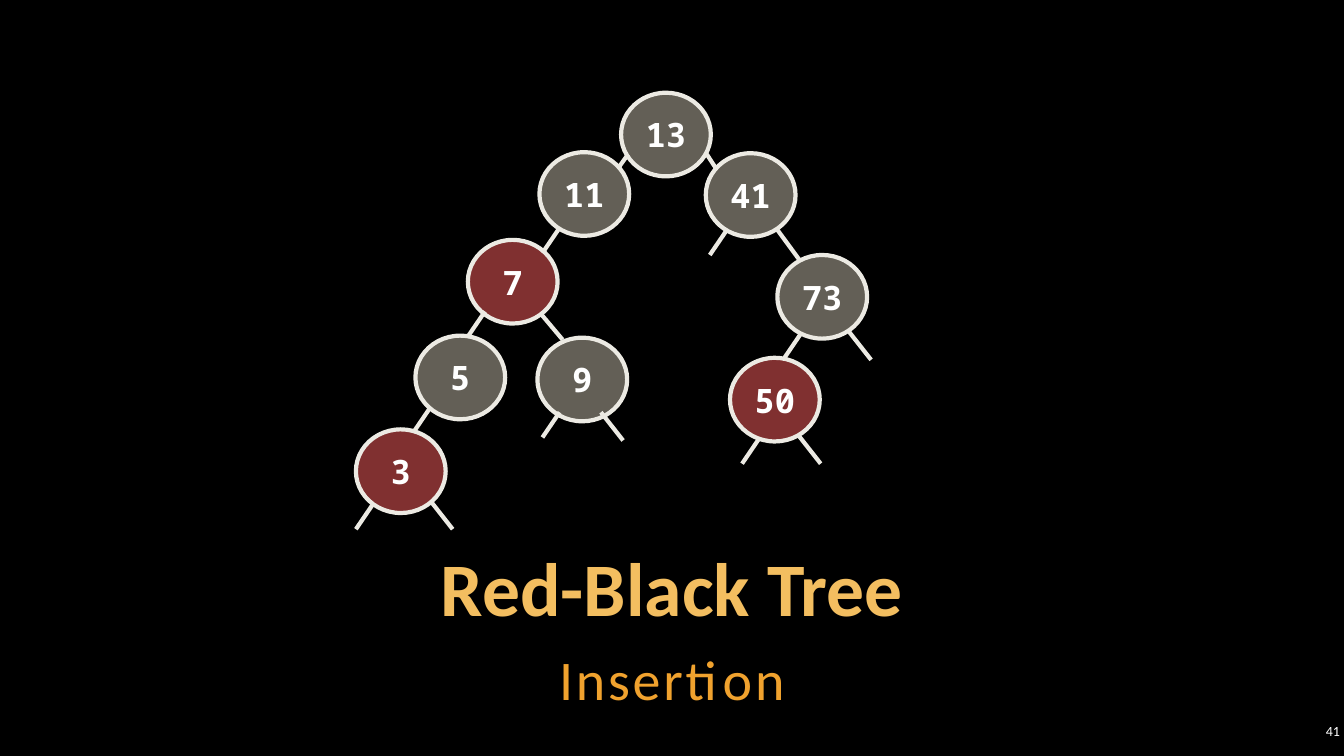
from dataclasses import dataclass

from lxml.etree import SubElement
from pptx import Presentation
from pptx.dml.color import RGBColor
from pptx.enum.shapes import MSO_CONNECTOR, MSO_SHAPE
from pptx.enum.text import MSO_ANCHOR, PP_ALIGN
from pptx.oxml.ns import qn
from pptx.slide import Slide
from pptx.util import Inches, Pt


@dataclass(frozen=True)
class Theme:
    background: str = "000000"
    title: str = "F3BE60"
    subtitle: str = "F0A22E"
    text: str = "FFFFFF"
    outline: str = "ECEAE3"
    black_node: str = "C7BFAC"
    red_node: str = "FF6161"
    node_opacity: int = 50
    text_font: str = "Calibri"
    node_font: str = "Noto Sans Mono"
    title_size: int = 54
    subtitle_size: int = 40
    node_size: int = 24
    number_size: int = 10
    line_width: int = 3


@dataclass(frozen=True)
class Label:
    text: str
    box: tuple[float, float, float, float]
    size: int
    color: str
    anchor: MSO_ANCHOR
    alignment: PP_ALIGN = PP_ALIGN.CENTER
    bold: bool = False
    line_spacing: float = 1.0
    letter_spacing: int = 0


@dataclass(frozen=True)
class Node:
    key: int
    left: float
    top: float
    red: bool = False


# Usual reach of a branch to the left or right child
LEFT = (-0.17, 0.25)
RIGHT = (0.22, 0.28)


@dataclass(frozen=True)
class Branch:
    x: float
    y: float
    reach: tuple[float, float]


THEME = Theme()
NODE_WIDTH, NODE_HEIGHT = 0.89, 0.83

LABELS = [
    Label("Red-Black Tree", (1, 5.42, 11.33, 0.9), THEME.title_size, THEME.title,
          MSO_ANCHOR.BOTTOM, bold=True, line_spacing=0.9),
    Label("Insertion", (1, 6.29, 11.33, 0.79), THEME.subtitle_size, THEME.subtitle,
          MSO_ANCHOR.TOP, line_spacing=1.1, letter_spacing=2),
    Label("41", (12.86, 7.14, 0.47, 0.22), THEME.number_size, THEME.text,
          MSO_ANCHOR.MIDDLE, PP_ALIGN.RIGHT),
]

NODES = [
    Node(13, 6.16, 0.92),
    Node(41, 7, 1.52),
    Node(73, 7.71, 2.53),
    Node(11, 5.35, 1.51),
    Node(50, 7.24, 3.55, red=True),
    Node(7, 4.64, 2.38, red=True),
    Node(9, 5.33, 3.35),
    Node(5, 4.12, 3.33),
    Node(3, 3.53, 4.26, red=True),
]

BRANCHES_BEHIND = [
    Branch(7.01, 1.53, (0.09, 0.14)),
    Branch(6.23, 1.53, (-0.1, 0.14)),
    Branch(7.21, 2.28, LEFT),
    Branch(7.71, 2.28, (0.22, 0.3)),
    Branch(7.95, 3.3, LEFT),
    Branch(8.42, 3.29, RIGHT),
]

BRANCHES_IN_FRONT = [
    Branch(5.55, 2.26, LEFT),
    Branch(4.81, 3.09, LEFT),
    Branch(5.37, 3.12, (0.21, 0.25)),
    Branch(4.27, 4.04, LEFT),
    Branch(5.55, 4.09, LEFT),
    Branch(5.96, 4.09, RIGHT),
    Branch(7.53, 4.35, LEFT),
    Branch(7.92, 4.32, RIGHT),
    Branch(3.7, 5, LEFT),
    Branch(4.27, 4.97, RIGHT),
]


def color(value: str) -> RGBColor:
    return RGBColor.from_string(value)


def draw_label(slide: Slide, label: Label) -> None:
    frame = slide.shapes.add_textbox(*map(Inches, label.box)).text_frame
    frame.word_wrap = True
    frame.vertical_anchor = label.anchor
    frame.margin_left = frame.margin_right = Inches(0.04)
    frame.margin_top = frame.margin_bottom = Inches(0.04)
    paragraph = frame.paragraphs[0]
    paragraph.text = label.text
    paragraph.alignment = label.alignment
    paragraph.line_spacing = label.line_spacing
    font = paragraph.font
    font.name, font.size, font.bold = THEME.text_font, Pt(label.size), label.bold
    font.color.rgb = color(label.color)
    if label.letter_spacing:
        properties = paragraph.runs[0].font._element
        properties.set("spc", str(label.letter_spacing * 100))


def draw_node(slide: Slide, node: Node) -> None:
    shape = slide.shapes.add_shape(
        MSO_SHAPE.OVAL, Inches(node.left), Inches(node.top),
        Inches(NODE_WIDTH), Inches(NODE_HEIGHT))
    shape.shadow.inherit = False
    shape.fill.solid()
    shape.fill.fore_color.rgb = color(THEME.red_node if node.red else THEME.black_node)
    fill_color = shape._element.spPr.find(qn("a:solidFill")).find(qn("a:srgbClr"))
    SubElement(fill_color, qn("a:alpha"), val=str(THEME.node_opacity * 1000))
    shape.line.color.rgb = color(THEME.outline)
    shape.line.width = Pt(THEME.line_width)
    frame = shape.text_frame
    frame.word_wrap = False
    frame.vertical_anchor = MSO_ANCHOR.MIDDLE
    paragraph = frame.paragraphs[0]
    paragraph.text = str(node.key)
    paragraph.alignment = PP_ALIGN.CENTER
    font = paragraph.font
    font.name, font.size, font.bold = THEME.node_font, Pt(THEME.node_size), True
    font.color.rgb = color(THEME.text)


def draw_branch(slide: Slide, branch: Branch) -> None:
    across, down = branch.reach
    connector = slide.shapes.add_connector(
        MSO_CONNECTOR.STRAIGHT, Inches(branch.x), Inches(branch.y),
        Inches(branch.x + across), Inches(branch.y + down))
    connector.line.color.rgb = color(THEME.outline)
    connector.line.width = Pt(THEME.line_width)
    SubElement(connector._element.spPr, qn("a:effectLst"))


def main() -> None:
    presentation = Presentation()
    presentation.slide_width = Inches(13.33)
    presentation.slide_height = Inches(7.5)
    slide = presentation.slides.add_slide(presentation.slide_layouts[6])
    slide.background.fill.solid()
    slide.background.fill.fore_color.rgb = color(THEME.background)

    # Title, subtitle and slide number
    for label in LABELS:
        draw_label(slide, label)

    # Tree, from back to front
    for branch in BRANCHES_BEHIND:
        draw_branch(slide, branch)
    for node in NODES:
        draw_node(slide, node)
    for branch in BRANCHES_IN_FRONT:
        draw_branch(slide, branch)

    presentation.save("out.pptx")


if __name__ == "__main__":
    main()
